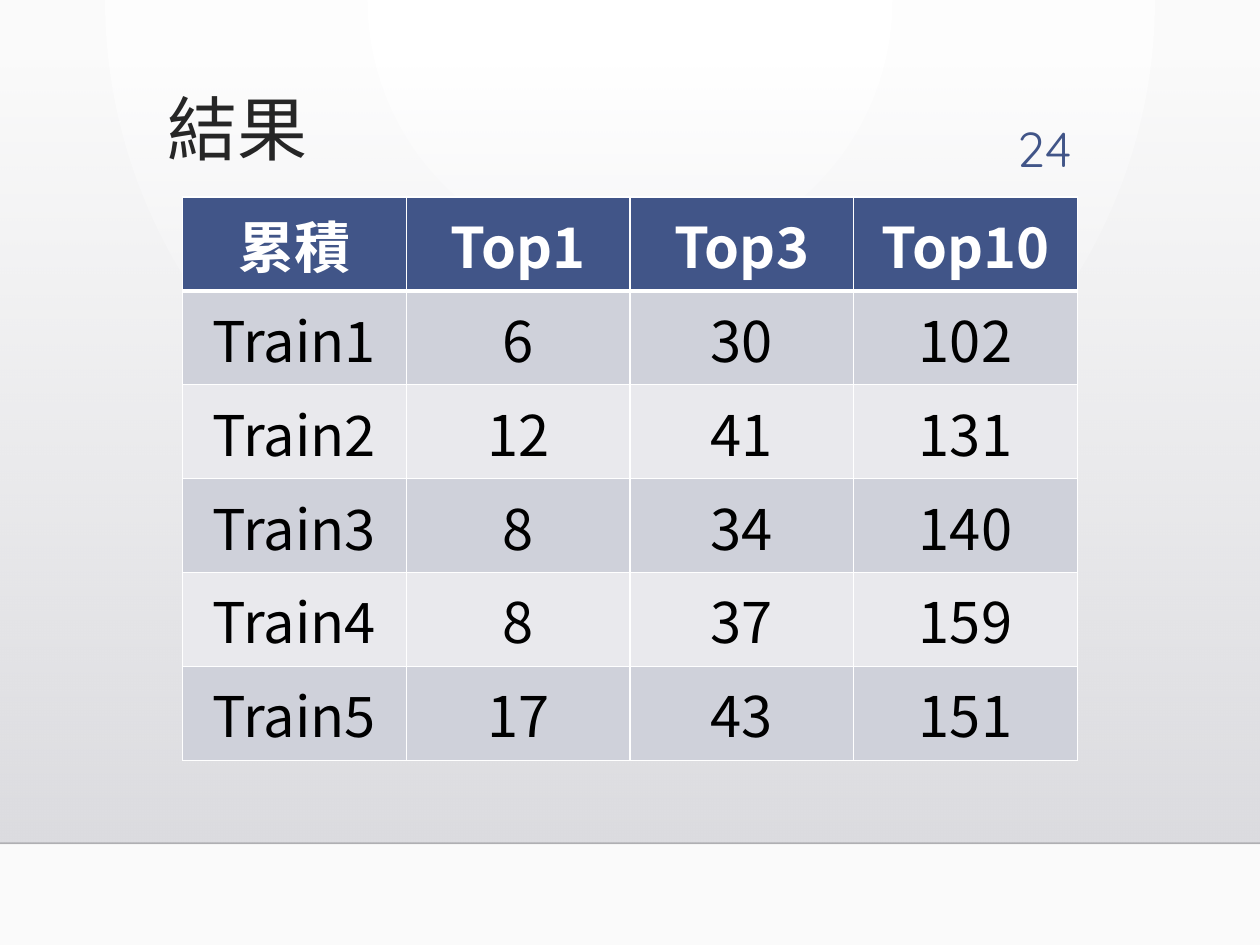
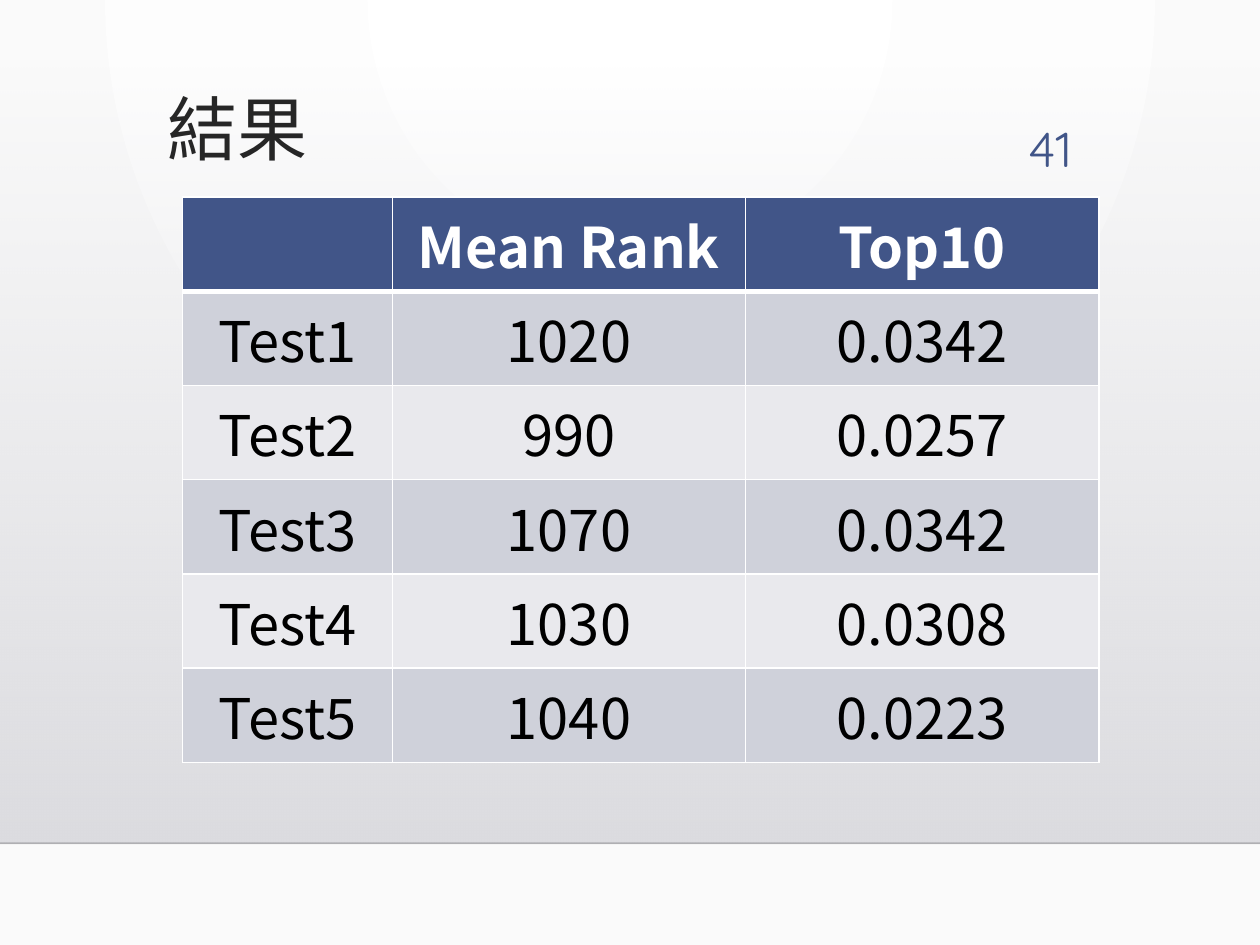
from lxml.etree import SubElement
from pptx import Presentation
from pptx.dml.color import RGBColor
from pptx.enum.shapes import MSO_CONNECTOR, MSO_SHAPE
from pptx.enum.text import MSO_ANCHOR, MSO_AUTO_SIZE, PP_ALIGN
from pptx.oxml.ns import qn
from pptx.util import Cm, Pt

SANS, NUMERALS = "Noto Sans CJK JP", "Quicksand"
WHITE, BLACK, NAVY, INK = "FFFFFF", "000000", "415588", "262626"
STRIPES = ("CFD1DA", "E9E9ED")
SLIDE_WIDTH, SLIDE_HEIGHT = Cm(25.4), Cm(19.05)
BAND_BOX = (0, Cm(1.3), SLIDE_WIDTH, Cm(15.7))
TITLE_BOX = (Cm(3.12), Cm(1.78), Cm(4.6), Cm(2.18))
NUMBER_BOX = (Cm(19.66), Cm(2.26), Cm(2.2), Cm(1.4))
TABLE_CORNER = (Cm(3.68), Cm(3.97))

TRAINING_ROWS = [
    ("累積", "Top1", "Top3", "Top10"),
    ("Train1", "6", "30", "102"),
    ("Train2", "12", "41", "131"),
    ("Train3", "8", "34", "140"),
    ("Train4", "8", "37", "159"),
    ("Train5", "17", "43", "151"),
]
TEST_ROWS = [
    ("", "Mean Rank", "Top10"),
    ("Test1", "1020", "0.0342"),
    ("Test2", "990", "0.0257"),
    ("Test3", "1070", "0.0342"),
    ("Test4", "1030", "0.0308"),
    ("Test5", "1040", "0.0223"),
]


def rgb(hex_code):
    return RGBColor.from_string(hex_code)


def set_opacity(element, percent):
    """Set the opacity of the first RGB colour inside element."""
    colour = next(element.iter(qn("a:srgbClr")))
    SubElement(colour, qn("a:alpha"), val=str(percent * 1000))


def set_gradient(fill, start, end):
    fill.gradient()
    for stop, hex_code in zip(fill.gradient_stops, (start, end)):
        stop.color.rgb = rgb(hex_code)


def write(frame, text, font=SANS, size=32, colour=BLACK, bold=False,
          align=PP_ALIGN.LEFT, spacing=None):
    paragraph = frame.paragraphs[0]
    paragraph.alignment = align
    paragraph.line_spacing = spacing
    run = paragraph.add_run()
    run.text = text
    run.font.name = font
    run.font.size = Pt(size)
    run.font.bold = bold
    run.font.color.rgb = rgb(colour)
    SubElement(run.font._element, qn("a:ea"), typeface=font)


def prepare_frame(shape):
    frame = shape.text_frame
    frame.word_wrap = True
    frame.auto_size = MSO_AUTO_SIZE.NONE
    frame.vertical_anchor = MSO_ANCHOR.TOP
    return frame


def paint_background(master):
    """Fill the master with a glow that starts at the top centre."""
    fill = master.background.fill
    set_gradient(fill, WHITE, "FAFAFA")
    gradient = next(master.element.iter(qn("a:gradFill")))
    gradient.remove(gradient.find(qn("a:lin")))
    glow = SubElement(gradient, qn("a:path"), path="circle")
    SubElement(glow, qn("a:fillToRect"), l="43000", t="0", r="43000", b="100000")


def add_band(slide, master, box):
    """Draw the shaded band and its floor line, then hand them to the master."""
    left, top, width, height = box
    band = slide.shapes.add_shape(MSO_SHAPE.RECTANGLE, *box)
    band.shadow.inherit = False
    band.line.fill.background()
    set_gradient(band.fill, "DCDCE0", "DEDEE2")
    band.fill.gradient_angle = 270
    set_opacity(band.element.spPr, 0)

    floor = slide.shapes.add_connector(
        MSO_CONNECTOR.STRAIGHT, left, top + height, left + width, top + height)
    floor.line.width = Pt(1)
    floor.line.color.rgb = rgb("000001")
    set_opacity(floor.element.spPr, 20)
    SubElement(floor.element.spPr, qn("a:effectLst"))

    for position, shape in enumerate((band, floor), start=2):
        master.shapes.element.insert(position, shape.element)


def add_heading(slide, title, number):
    heading = slide.shapes.title
    heading.left, heading.top, heading.width, heading.height = TITLE_BOX
    write(prepare_frame(heading), title, size=40, colour=INK, spacing=0.9)
    number_box = slide.shapes.add_textbox(*NUMBER_BOX)
    write(prepare_frame(number_box), number, font=NUMERALS, size=28,
          colour=NAVY, align=PP_ALIGN.RIGHT)


def set_borders(cell, **widths):
    properties = cell._tc.get_or_add_tcPr()
    for position, side in enumerate("LRTB"):
        line = SubElement(properties, qn(f"a:ln{side}"),
                          w=str(Pt(widths.get(side, 1))))
        solid = SubElement(line, qn("a:solidFill"))
        SubElement(solid, qn("a:srgbClr"), val=WHITE)
        properties.insert(position, line)


def add_results(slide, corner, rows, column_widths, row_height):
    table = slide.shapes.add_table(
        len(rows), len(column_widths), *corner,
        sum(column_widths), row_height * len(rows)).table
    for column, width in zip(table.columns, column_widths):
        column.width = width
    for row_index, values in enumerate(rows):
        is_header = row_index == 0
        background = NAVY if is_header else STRIPES[(row_index - 1) % 2]
        widths = {0: {"B": 3}, 1: {"T": 3}}.get(row_index, {})
        for column_index, value in enumerate(values):
            cell = table.cell(row_index, column_index)
            cell.fill.solid()
            cell.fill.fore_color.rgb = rgb(background)
            set_borders(cell, **widths)
            if value:
                write(cell.text_frame, value, bold=is_header,
                      colour=WHITE if is_header else BLACK,
                      align=PP_ALIGN.CENTER)


def main():
    presentation = Presentation()
    presentation.slide_width, presentation.slide_height = SLIDE_WIDTH, SLIDE_HEIGHT
    master = presentation.slide_master
    title_only = presentation.slide_layouts.get_by_name("Title Only")
    paint_background(master)

    training = presentation.slides.add_slide(title_only)
    add_band(training, master, BAND_BOX)
    add_heading(training, "結果", "24")
    add_results(training, TABLE_CORNER, TRAINING_ROWS, [Cm(4.51)] * 4, Cm(1.85))

    test = presentation.slides.add_slide(title_only)
    add_heading(test, "結果", "41")
    add_results(test, TABLE_CORNER, TEST_ROWS,
                [Cm(4.23), Cm(7.12), Cm(7.12)], Cm(1.9))

    presentation.save("out.pptx")


if __name__ == "__main__":
    main()
